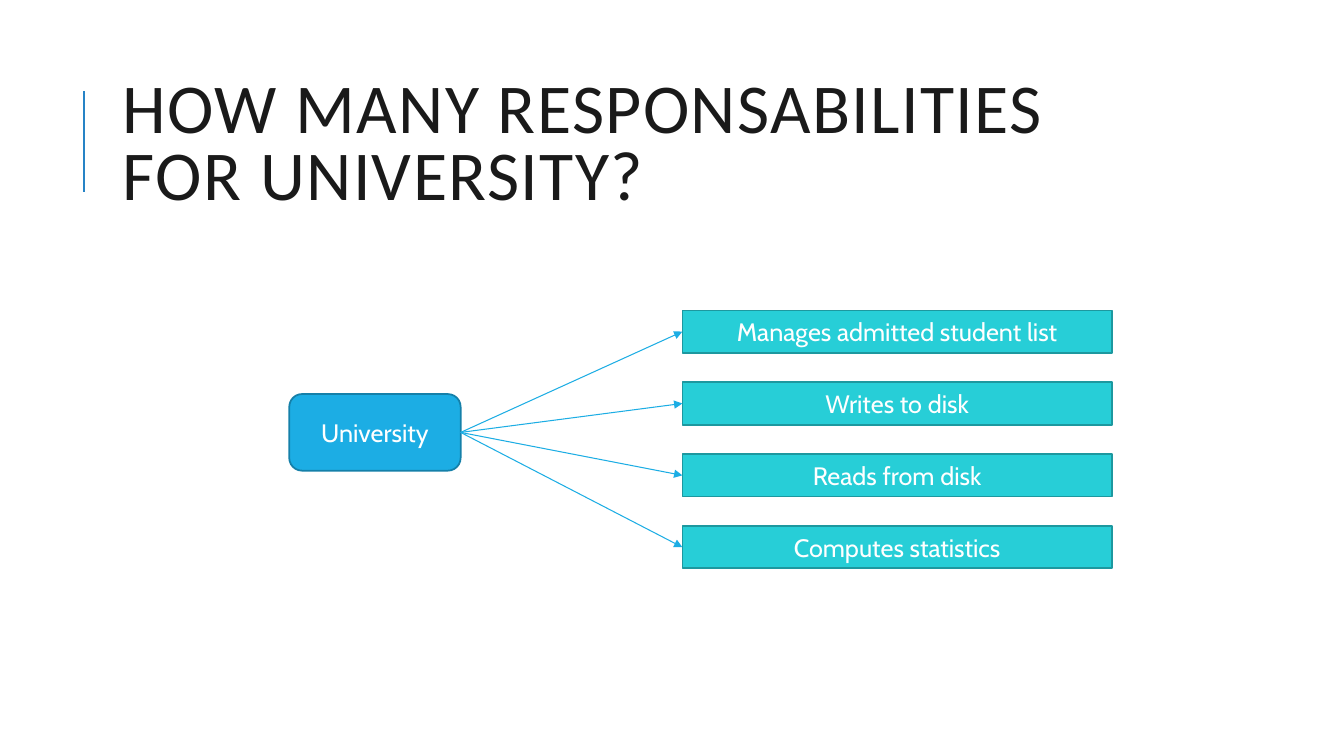
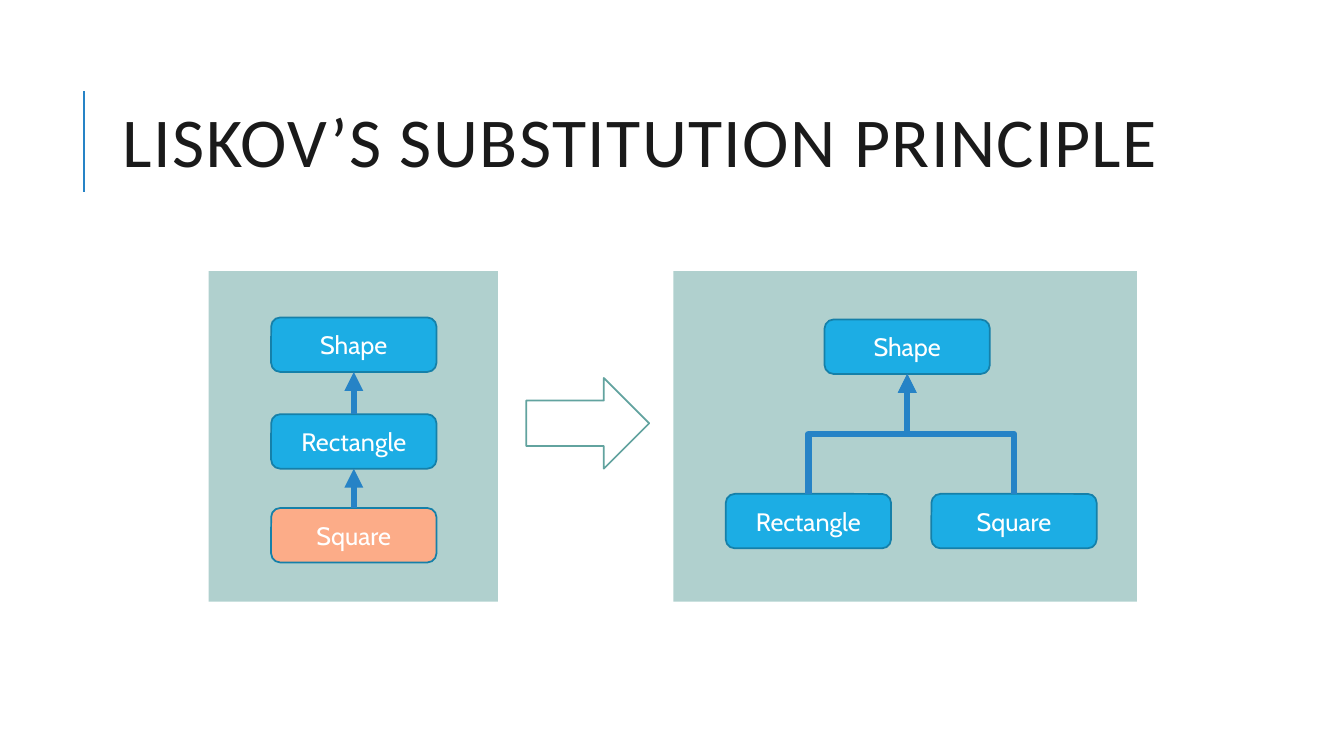
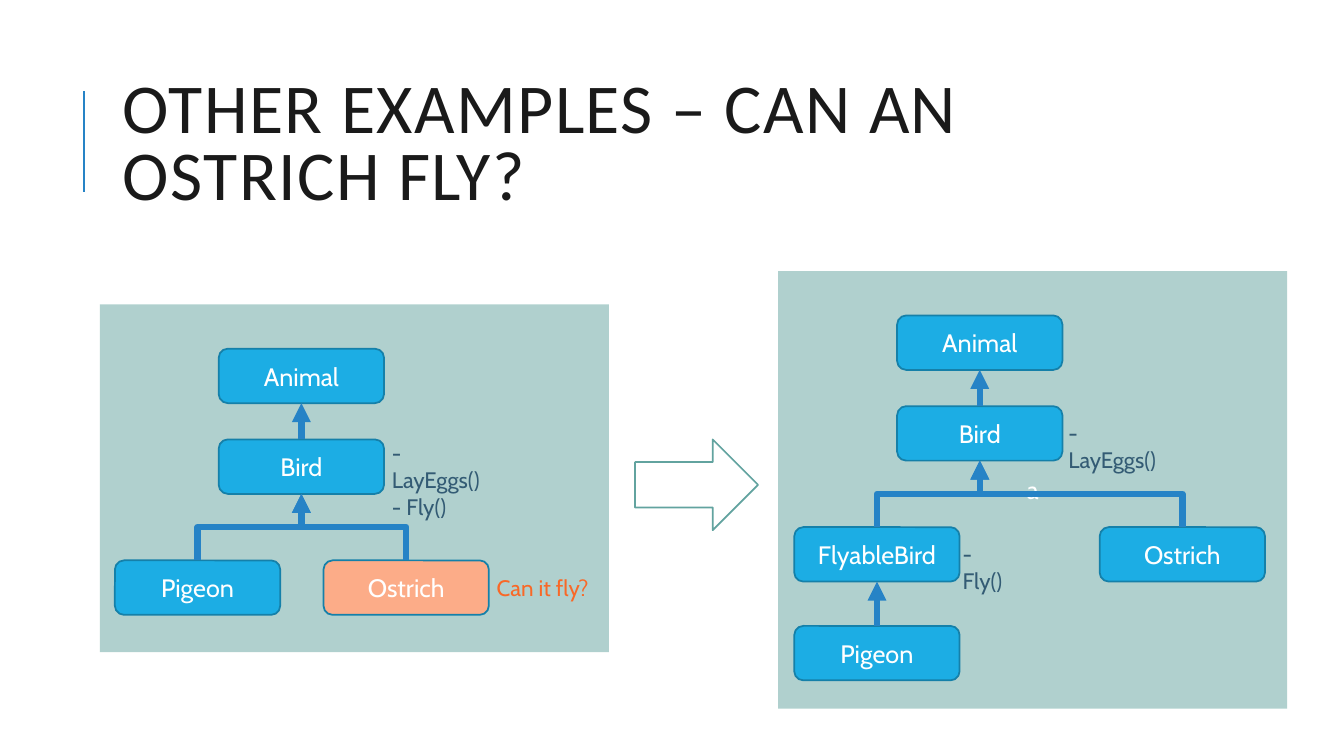
from dataclasses import dataclass

from lxml import etree
from pptx import Presentation
from pptx import util as u
from pptx.dml.color import RGBColor
from pptx.enum import shapes, text
from pptx.oxml.ns import qn


@dataclass(frozen=True)
class Theme:
    ink: str = "1A1A1A"
    white: str = "FFFFFF"
    blue: str = "1CADE4"
    edge: str = "1580A9"
    teal: str = "27CED7"
    rim: str = "1D989F"
    line: str = "2683C6"
    sage: str = "62A39F"
    peach: str = "FCAC88"
    hot: str = "F96827"
    slate: str = "335B74"
    head: str = "Calibri"
    body: str = "Cabin"
    big: int = 50
    mid: int = 18
    small: int = 16


T = Theme()
CELL = u.Inches(0.1)
COLS, ROWS = 133.33, 75
NODE = (16.4, 5.4)
KIND = shapes.MSO_SHAPE
WIRE = shapes.MSO_CONNECTOR
TOP, LEFT, BASE, RIGHT = range(4)
SIDES = ((0.5, 0), (0, 0.5), (0.5, 1), (1, 0.5))
MID = {"vertical_anchor": text.MSO_ANCHOR.MIDDLE, "word_wrap": True}
TITLE = {**MID, "auto_size": text.MSO_AUTO_SIZE.NONE}


def grid(*cells):
    return [round(CELL * c) for c in cells]


def rgb(code):
    return RGBColor.from_string(code)


def put(item, vals):
    for key, val in vals.items():
        setattr(item, key, val)


def sub(node, tag, **attrs):
    return etree.SubElement(node, qn(tag), attrs)


def write(frame, words, face, size, ink, align, space=1.0):
    frame.text = words
    for para in frame.paragraphs:
        put(para, {"alignment": align, "line_spacing": space})
        for run in para.runs:
            put(run.font, {"name": face, "size": u.Pt(size)})
            run.font.color.rgb = rgb(ink)


def head(slide, words):
    title = slide.shapes.title
    put(title, dict(zip(("left", "top", "width", "height"),
                        grid(11.2, 6.4, 106.3, 16.4))))
    put(title.text_frame, TITLE)
    write(title.text_frame, words, T.head, T.big, T.ink,
          text.PP_ALIGN.LEFT, 0.8)
    for run in title.text_frame.paragraphs[0].runs:
        run.font._element.set("spc", "100")


def box(pool, kind, place, fill, edge=None, words="", clear=None):
    shape = pool.add_shape(kind, *grid(*place))
    shape.shadow.inherit = False
    shape.fill.solid()
    shape.fill.fore_color.rgb = rgb(fill)
    if clear:
        tint = shape.element.spPr.find(qn("a:solidFill"))[0]
        sub(tint, "a:alpha", val=str(clear * 1000))
    if edge:
        shape.line.color.rgb = rgb(edge)
        shape.line.width = u.Pt(1.25)
    else:
        shape.line.fill.background()
    if words:
        put(shape.text_frame, MID)
        write(shape.text_frame, words, T.body, T.mid, T.white,
              text.PP_ALIGN.CENTER)
    return shape


def note(pool, place, words, ink):
    frame = pool.add_textbox(*grid(*place)).text_frame
    frame.word_wrap = True
    write(frame, words, T.body, T.small, ink, text.PP_ALIGN.LEFT)


def stroke(wire, ink, width, tip=True):
    wire.line.color.rgb = rgb(ink)
    wire.line.width = u.Pt(width)
    props = wire.element.spPr
    if tip:
        sub(props.find(qn("a:ln")), "a:tailEnd", type="triangle")
    sub(props, "a:effectLst")


def side(shape, index):
    across, down = SIDES[index]
    return (round(shape.left + shape.width * across),
            round(shape.top + shape.height * down))


def link(pool, start, out, end, into, ink, width, kind=WIRE.STRAIGHT):
    wire = pool.add_connector(kind, *side(start, out), *side(end, into))
    wire.begin_connect(start, out)
    wire.end_connect(end, into)
    stroke(wire, ink, width)
    return wire


def climb(pool, low, high):
    (x1, y1), (x2, y2) = side(low, TOP), side(high, BASE)
    if x1 == x2:
        link(pool, low, TOP, high, BASE, T.line, 4.5)
        return
    wire = link(pool, low, TOP, high, BASE, T.line, 4.5, WIRE.ELBOW)
    wide, tall = y1 - y2, abs(x2 - x1)
    put(wire, {"left": (x1 + x2 - wide) // 2, "top": (y1 + y2 - tall) // 2,
               "width": wide, "height": tall})
    east = x2 > x1
    turn = {"rot": "5400000" if east else "16200000",
            "flipH": "1" if east else "0", "flipV": "1"}
    frame = wire.element.spPr.find(qn("a:xfrm"))
    for key, val in turn.items():
        frame.set(key, val)


def tree(slide, place, nodes, links, hot="", notes=(), words=""):
    pool = slide.shapes.add_group_shape().shapes
    x, y = place[:2]
    box(pool, KIND.RECTANGLE, place, T.sage, words=words, clear=50)
    made = {}
    for name, (col, row) in nodes.items():
        made[name] = box(pool, KIND.ROUNDED_RECTANGLE,
                         (x + col, y + row, *NODE),
                         T.peach if name == hot else T.blue, T.edge, name)
    for low, high in links:
        climb(pool, made[low], made[high])
    for (col, row, wide, tall), label, ink in notes:
        note(pool, (x + col, y + row, wide, tall), label, ink)


def arrow(slide, col, row):
    box(slide.shapes, KIND.RIGHT_ARROW, (col, row, 12.2, 9), T.white, T.sage)


def fan(slide, name, tasks):
    pool = slide.shapes.add_group_shape().shapes
    hub = box(pool, KIND.ROUNDED_RECTANGLE, (28.7, 39.1, 17, 7.6),
              T.blue, T.edge, name)
    bars = [box(pool, KIND.RECTANGLE, (67.7, 30.8 + 7.13 * i, 42.6, 4.2),
                T.teal, T.rim, task) for i, task in enumerate(tasks)]
    for bar in bars:
        link(pool, hub, RIGHT, bar, LEFT, T.blue, 0.75)


def rule(layout, slide):
    wire = slide.shapes.add_connector(WIRE.STRAIGHT, *grid(8.3, 19, 8.3, 9))
    stroke(wire, T.line, 1.5, tip=False)
    wire.element.nvCxnSpPr.cNvPr.set("id", "20")
    layout.shapes.element.append(wire.element)


def main():
    deck = Presentation()
    deck.slide_width, deck.slide_height = grid(COLS, ROWS)
    layout = deck.slide_layouts[5]
    duty, swap, fly = [deck.slides.add_slide(layout) for _ in range(3)]
    rule(layout, duty)

    head(duty, "HOW MANY RESPONSABILITIES FOR UNIVERSITY?")
    fan(duty, "University", ("Manages admitted student list", "Writes to disk",
                             "Reads from disk", "Computes statistics"))

    head(swap, "LISKOV’S SUBSTITUTION PRINCIPLE")
    tree(swap, (20.7, 26.9, 28.7, 32.8),
         {"Shape": (6.2, 4.6), "Rectangle": (6.2, 14.2),
          "Square": (6.2, 23.5)},
         (("Rectangle", "Shape"), ("Square", "Rectangle")), "Square")
    tree(swap, (66.8, 26.9, 46, 32.8),
         {"Shape": (15, 4.8), "Rectangle": (5.2, 22.1),
          "Square": (25.6, 22.1)},
         (("Rectangle", "Shape"), ("Square", "Shape")))
    arrow(swap, 52.2, 37.5)

    head(fly, "OTHER EXAMPLES – CAN AN OSTRICH FLY?")
    arrow(fly, 63, 43.6)
    trunk = {"Animal": (11.8, 4.4), "Bird": (11.8, 13.4)}
    stem = (("Bird", "Animal"), ("Ostrich", "Bird"))
    tree(fly, (9.9, 30.2, 50.5, 34.5),
         {**trunk, "Ostrich": (22.2, 25.4), "Pigeon": (1.5, 25.4)},
         (*stem, ("Pigeon", "Bird")), "Ostrich",
         (((28, 12.9, 11.5, 6.4), "- LayEggs()\n- Fly()", T.slate),
          ((38.4, 26.3, 12, 3.7), "Can it fly?", T.hot)))
    tree(fly, (77.2, 26.9, 50.5, 43.4),
         {**trunk, "Ostrich": (31.9, 25.4), "FlyableBird": (1.6, 25.4),
          "Pigeon": (1.6, 35.2)},
         (*stem, ("FlyableBird", "Bird"), ("Pigeon", "FlyableBird")),
         notes=(((27.8, 14.2, 11.5, 3.7), "- LayEggs()", T.slate),
                ((17.3, 26.2, 6.5, 3.7), "- Fly()", T.slate)),
         words="a")
    deck.save("out.pptx")


if __name__ == "__main__":
    main()
